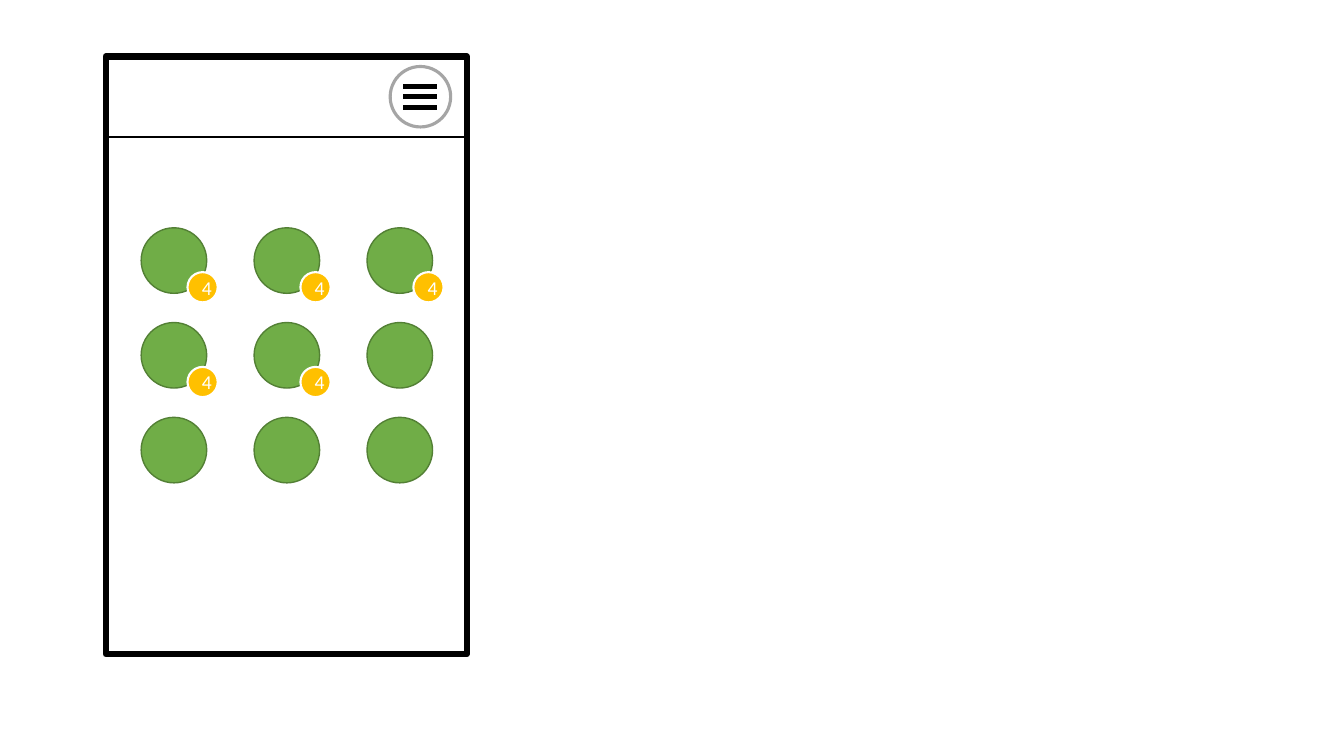
from pptx import Presentation
from pptx.dml.color import RGBColor
from pptx.enum.shapes import MSO_SHAPE
from pptx.enum.text import MSO_ANCHOR, PP_ALIGN
from pptx.util import Inches, Pt

RECTANGLE = MSO_SHAPE.RECTANGLE
OVAL = MSO_SHAPE.OVAL
MIDDLE = MSO_ANCHOR.MIDDLE
CENTER = PP_ALIGN.CENTER

COLORS = {
    "black": "000000",
    "white": "FFFFFF",
    "gray": "A5A5A5",
    "green": "70AD47",
    "dark green": "538035",
    "amber": "FFC000",
}
BADGE_FONT = {"name": "Calibri", "size": Pt(14)}
GRID_LEFT, GRID_TOP = 1.4, 2.26
COLUMN_STEP, ROW_STEP = 1.12, 0.94
ICON_COUNT, BADGE_COUNT, COLUMNS = 9, 5, 3


def color(name):
    """Return the named colour."""
    return RGBColor.from_string(COLORS[name])


def add_figure(shapes, kind, box, fill, line, width):
    """Add a preset shape with a fill (or none) and an outline."""
    shape = shapes.add_shape(kind, *[Inches(length) for length in box])
    shape.shadow.inherit = False
    if fill:
        shape.fill.solid()
        shape.fill.fore_color.rgb = color(fill)
    else:
        shape.fill.background()
    shape.line.color.rgb = color(line)
    shape.line.width = Pt(width)
    return shape


def add_badge(shapes, left, top, text):
    """Add a round counter badge."""
    badge = add_figure(shapes, OVAL, (left, top, 0.3, 0.3), "amber", "white", 1.5)
    badge.text_frame.vertical_anchor = MIDDLE
    paragraph = badge.text_frame.paragraphs[0]
    paragraph.alignment = CENTER
    run = paragraph.add_run()
    run.text = text
    for attribute, value in BADGE_FONT.items():
        setattr(run.font, attribute, value)
    run.font.color.rgb = color("white")


def add_menu_button(shapes):
    """Add the round menu button with its three bars."""
    button = shapes.add_group_shape().shapes
    add_figure(button, OVAL, (3.87, 0.66, 0.6, 0.6), "white", "gray", 2.25)
    for index in range(3):
        box = (3.99, 0.82 + index * 0.105, 0.35, 0.07)
        add_figure(button, RECTANGLE, box, "black", "white", 1.5)


def grid_positions(count):
    """Return the left and top of the first icons, row by row."""
    return [
        (GRID_LEFT + index % COLUMNS * COLUMN_STEP, GRID_TOP + index // COLUMNS * ROW_STEP)
        for index in range(count)
    ]


def main():
    """Build the phone screen slide."""
    presentation = Presentation()
    presentation.slide_width = Inches(13.33)
    presentation.slide_height = Inches(7.5)
    slide = presentation.slides.add_slide(presentation.slide_layouts[6])
    shapes = slide.shapes

    add_figure(shapes, RECTANGLE, (1.05, 0.56, 3.58, 0.8), "white", "black", 1.5)
    add_figure(shapes, RECTANGLE, (1.05, 0.56, 3.58, 5.93), None, "black", 4.5)
    icons = shapes.add_group_shape().shapes
    for left, top in grid_positions(ICON_COUNT):
        add_figure(icons, OVAL, (left, top, 0.65, 0.65), "green", "dark green", 1)
    add_menu_button(shapes)
    for left, top in grid_positions(BADGE_COUNT):
        add_badge(shapes, left + 0.46, top + 0.44, "4")

    presentation.save("out.pptx")


if __name__ == "__main__":
    main()
